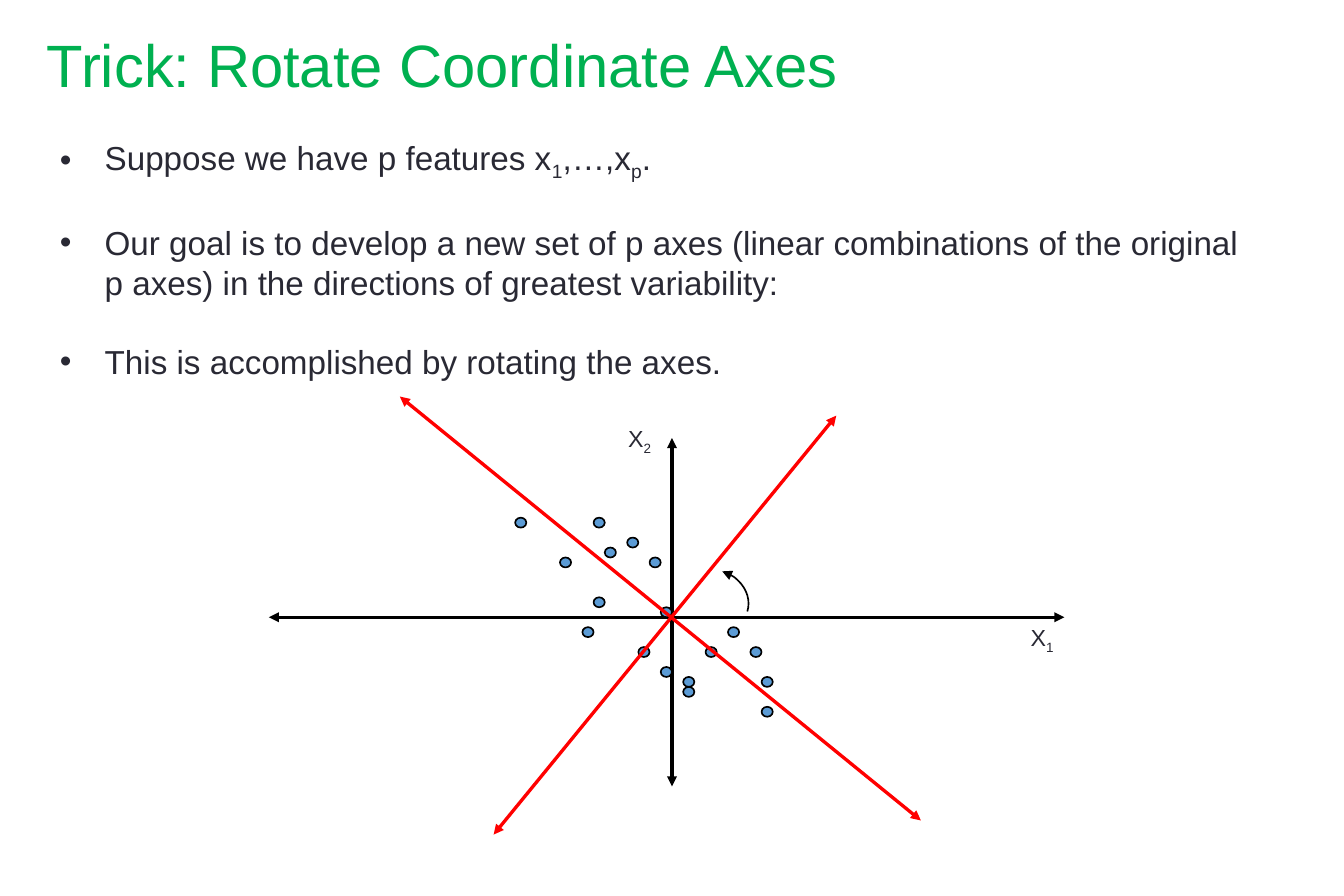
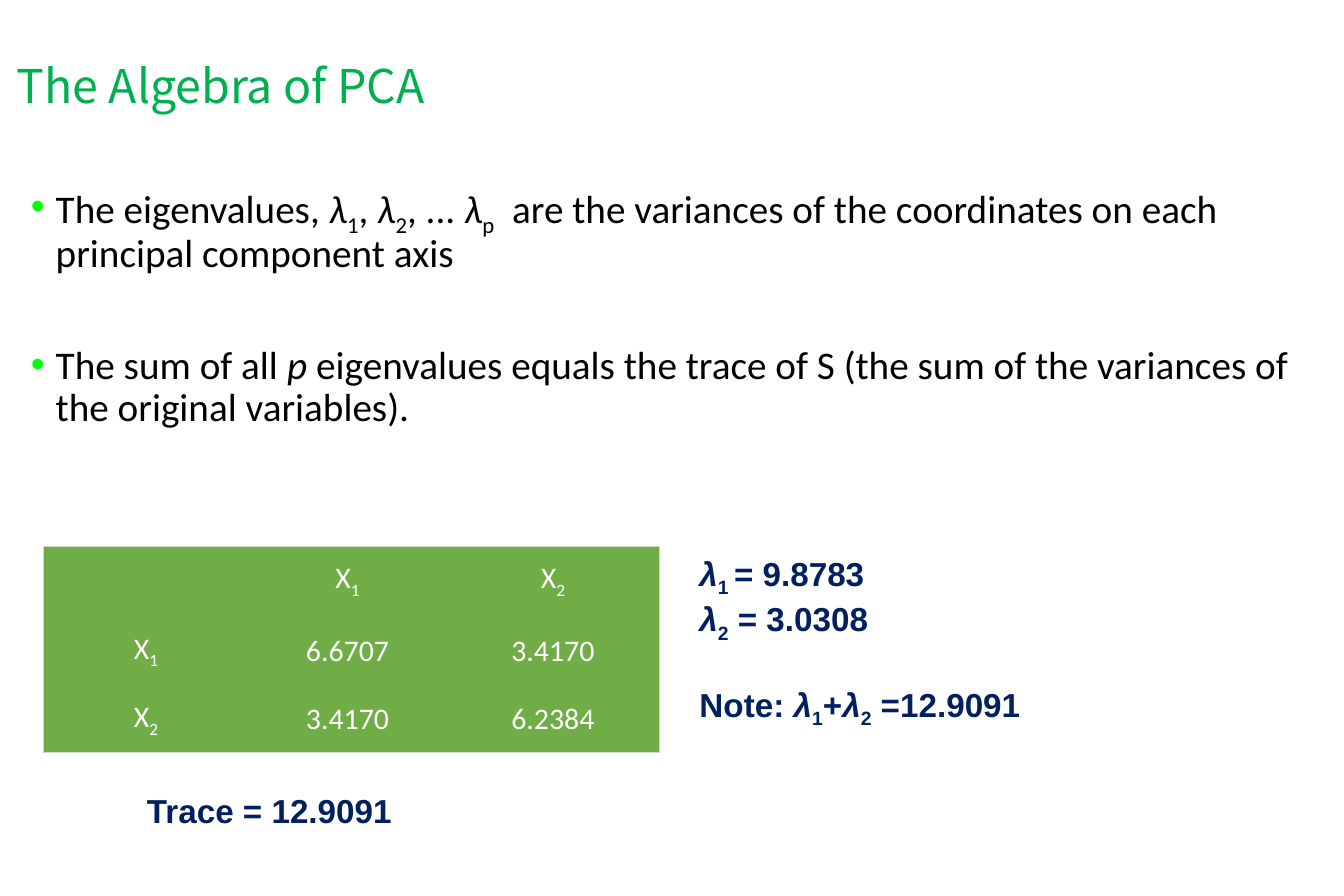
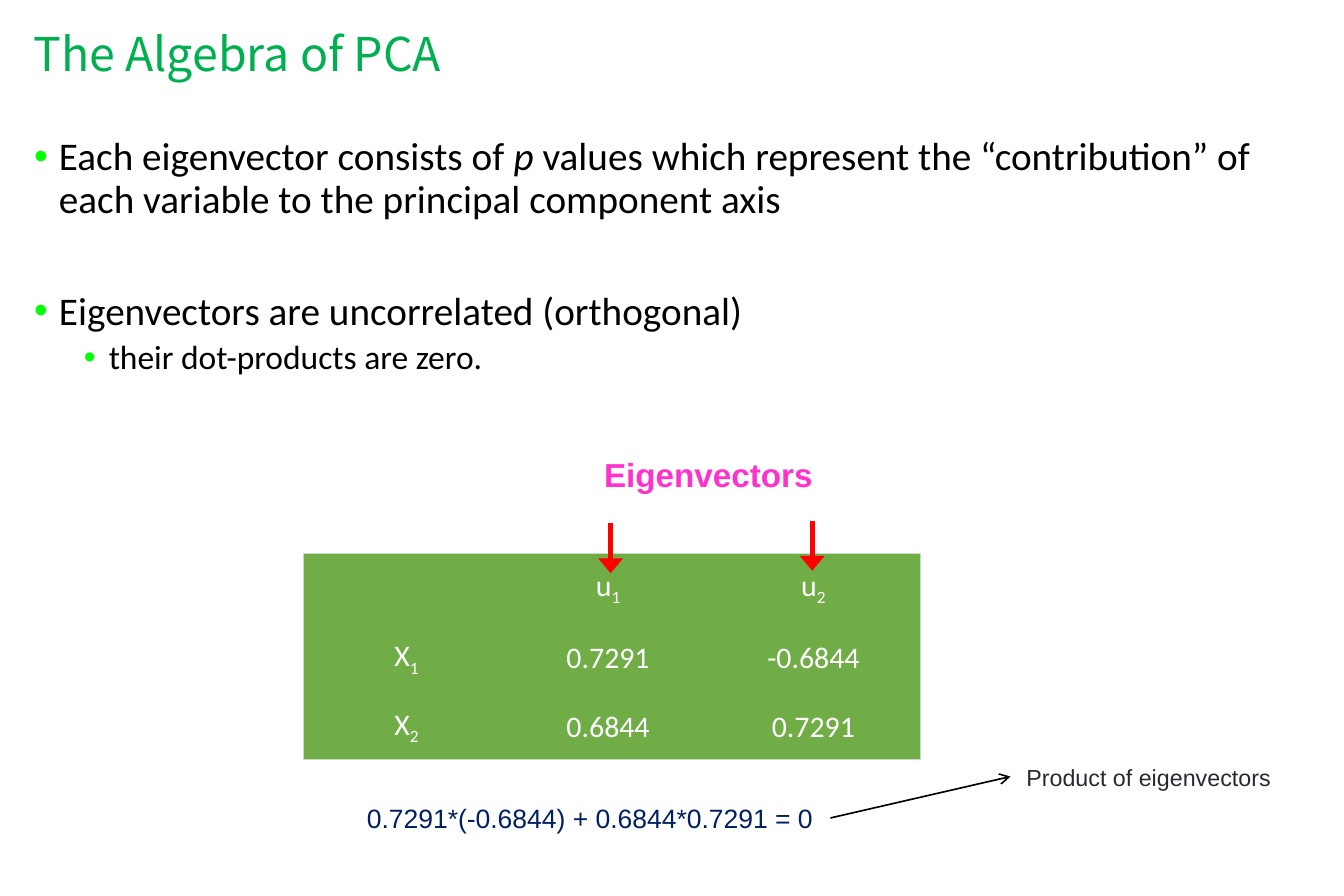
from dataclasses import dataclass

from lxml import etree
from pptx import Presentation
from pptx.dml.color import RGBColor
from pptx.enum.shapes import MSO_CONNECTOR, MSO_SHAPE
from pptx.enum.text import MSO_ANCHOR, MSO_AUTO_SIZE, PP_ALIGN
from pptx.oxml.ns import qn
from pptx.util import Pt

STRAIGHT = MSO_CONNECTOR.STRAIGHT
ELLIPSE, ARC = MSO_SHAPE.OVAL, MSO_SHAPE.ARC
MIDDLE, TOP = MSO_ANCHOR.MIDDLE, MSO_ANCHOR.TOP
NO_FIT, GROW = MSO_AUTO_SIZE.NONE, MSO_AUTO_SIZE.SHAPE_TO_FIT_TEXT
LEFT, CENTER = PP_ALIGN.LEFT, PP_ALIGN.CENTER
TITLE_ONLY = 5


@dataclass(frozen=True)
class Face:
    """Font, size and colour of a piece of text."""
    name: str
    size: float
    color: str
    bold: bool = False


@dataclass(frozen=True)
class Bullet:
    """Look and spacing of a bulleted paragraph."""
    face: Face
    color: str
    left: float
    hang: float
    before: float
    level: int = 0
    line_spacing: float = 1.0


@dataclass(frozen=True)
class Box:
    """A rectangle in points."""
    left: float
    top: float
    width: float
    height: float

    def inner(self, left, top, width=0, height=0):
        """Return a box placed relative to this one."""
        return Box(self.left + left, self.top + top, width, height)

    def lengths(self):
        """Return the four sides as lengths."""
        return [Pt(v) for v in (self.left, self.top, self.width, self.height)]


class Theme:
    """Colours and type styles shared by the slides."""
    black, red, dot = "000000", "FF0000", "5B9BD5"
    table_fill, table_edge = "70AD47", "C9DBC1"
    green, ink, navy, lime = "00B050", "292934", "002060", "00FF00"
    wide_title = Face("Arial", 36, green)
    title = Face("Noto Sans CJK TC", 28, green)
    plain = Face("Arial", 20, ink)
    body = Face("Calibri", 23.6, black)
    detail = Face("Calibri", 20.2, black)
    cell = Face("Calibri", 18, "FFFFFF")
    label = Face("Arial", 14, ink)
    result = Face("Arial", 20, navy, True)
    equation = Face("Arial", 16, navy)
    heading = Face("Arial", 20, "FF33CC", True)
    goal = Bullet(plain, ink, 27, 27, 0)
    next_goal = Bullet(plain, ink, 27, 27, 24)
    point = Bullet(body, lime, 15, 15, 8.4, 0, 0.9)
    next_point = Bullet(body, lime, 15, 15, 42, 0, 0.9)
    subpoint = Bullet(detail, lime, 45, 15, 4.2, 1, 0.9)


def set_format(target, values):
    """Set attributes of an object from a dict."""
    for name, value in values.items():
        setattr(target, name, value)


def add_xml(parent, tag, **values):
    """Append a drawing element with attributes."""
    return etree.SubElement(parent, qn(tag), {k: str(v) for k, v in values.items()})


def add_color(parent, color):
    """Append a solid fill to an XML element."""
    add_xml(add_xml(parent, "a:solidFill"), "a:srgbClr", val=color)


def write_spans(para, text, face):
    """Write text in which _x_ is a subscript and /x/ is italic."""
    for i, part in enumerate(text.split("_")):
        for j, piece in enumerate(part.split("/")):
            if not piece:
                continue
            span = para.add_run()
            span.text = piece
            set_format(span.font, {"name": face.name, "size": Pt(face.size),
                                   "bold": face.bold, "italic": j % 2 == 1})
            span.font.color.rgb = RGBColor.from_string(face.color)
            if i % 2:
                span._r.get_or_add_rPr().set("baseline", "-25000")


def next_para(frame, index):
    """Return the first paragraph or a new one."""
    return frame.add_paragraph() if index else frame.paragraphs[0]


def add_title(page, box, text, face, line_spacing=1.0):
    """Move and fill the title placeholder."""
    title = page.shapes.title
    names = ("left", "top", "width", "height")
    set_format(title, dict(zip(names, box.lengths())))
    frame = title.text_frame
    set_format(frame, {"auto_size": NO_FIT, "vertical_anchor": MIDDLE,
                       "word_wrap": True})
    para = frame.paragraphs[0]
    set_format(para, {"alignment": LEFT, "line_spacing": line_spacing})
    write_spans(para, text, face)


def add_label(page, box, lines, face):
    """Add unwrapped text from pairs of space before and text."""
    frame = page.shapes.add_textbox(*box.lengths()).text_frame
    set_format(frame, {"word_wrap": False, "auto_size": GROW,
                       "vertical_anchor": TOP})
    for index, (before, text) in enumerate(lines):
        para = next_para(frame, index)
        para.space_before = Pt(before)
        write_spans(para, text, face)


def add_bullets(page, box, items):
    """Add a bulleted list from pairs of bullet style and text."""
    frame = page.shapes.add_textbox(*box.lengths()).text_frame
    set_format(frame, {"word_wrap": True, "vertical_anchor": TOP})
    for index, (bullet, text) in enumerate(items):
        para = next_para(frame, index)
        set_format(para, {"level": bullet.level, "space_before": Pt(bullet.before),
                          "line_spacing": bullet.line_spacing})
        props = para._p.get_or_add_pPr()
        props.set("marL", str(Pt(bullet.left)))
        props.set("indent", str(-Pt(bullet.hang)))
        add_xml(add_xml(props, "a:buClr"), "a:srgbClr", val=bullet.color)
        add_xml(props, "a:buFont", typeface="Arial")
        add_xml(props, "a:buChar", char="•")
        write_spans(para, text, bullet.face)


def set_line(shape, color, width, head=None, tail=None, spread="med"):
    """Colour an outline and give it arrowheads."""
    shape.line.color.rgb = RGBColor.from_string(color)
    shape.line.width = Pt(width)
    outline = shape.line._get_or_add_ln()
    for tag, kind in (("a:headEnd", head), ("a:tailEnd", tail)):
        if kind:
            add_xml(outline, tag, type=kind, w=spread, len="med")


def add_line(page, box, start, end, color, width, **ends):
    """Connect two points given relative to a box."""
    points = [Pt(v) for x, y in (start, end) for v in (box.left + x, box.top + y)]
    line = page.shapes.add_connector(STRAIGHT, *points)
    set_line(line, color, width, **ends)
    add_xml(line._element.spPr, "a:effectLst")


def add_rotated_axes(page, box):
    """Draw the scatter with its old and rotated axes."""
    origin = box.inner(243, 133)
    both = {"head": "triangle", "tail": "triangle"}
    add_line(page, origin, (0, 102), (0, -108), Theme.black, 2, **both)
    add_line(page, origin, (-243, 0), (236.5, 0), Theme.black, 2, **both)
    for text, left, top in (("X_1_", 209, 0), ("X_2_", -33.5, -120)):
        add_label(page, origin.inner(left, top, 47.5, 24.5), [(0, text)], Theme.label)

    step_x, step_y = 6.75, 6
    dots = [(-14, -10), (-10, -6), (-7, -2), (-8, 1), (-6, -7), (-4, -8),
            (-2, -6), (-1, -1), (-3, 3), (3, 3), (1, 6), (-1, 5), (1, 7),
            (5, 1), (7, 3), (8, 6), (8, 9), (-7, -10)]
    for column, row in dots:
        place = origin.inner(column * step_x, row * step_y, step_x, step_y)
        dot = page.shapes.add_shape(ELLIPSE, *place.lengths())
        dot.shadow.inherit = False
        dot.fill.solid()
        dot.fill.fore_color.rgb = RGBColor.from_string(Theme.dot)
        set_line(dot, Theme.black, 1)

    turn = page.shapes.add_shape(ARC, *origin.inner(3.2, -28.5, 43.2, 37.4).lengths())
    turn.shadow.inherit = False
    turn.rotation = 17.1
    turn.fill.background()
    set_line(turn, Theme.black, 1, head="triangle")
    add_line(page, origin, (-107.5, 131), (99, -121.5), Theme.red, 2, **both)
    add_line(page, origin, (-164, -133), (150, 122.5), Theme.red, 2, **both)


def set_borders(cell, outer):
    """Draw the outer sides of a cell and hide the inner ones."""
    props = cell._tc.get_or_add_tcPr()
    for side, visible in outer.items():
        edge = add_xml(props, f"a:ln{side}", w=Pt(0.5))
        if visible:
            add_color(edge, Theme.table_edge)
        else:
            add_xml(edge, "a:noFill")


def add_matrix(page, box, rows):
    """Add a green table with an outer border."""
    last_row, last_column = len(rows) - 1, len(rows[0]) - 1
    table = page.shapes.add_table(len(rows), len(rows[0]), *box.lengths()).table
    set_format(table, {"first_row": False, "horz_banding": False})
    for column, width in zip(table.columns, (124, 119, 128.5)):
        column.width = Pt(width)
    for row, height in zip(table.rows, (42, 43, 39.5)):
        row.height = Pt(height)
    for i, values in enumerate(rows):
        for j, text in enumerate(values):
            cell = table.cell(i, j)
            set_borders(cell, {"L": j == 0, "R": j == last_column,
                               "T": i == 0, "B": i == last_row})
            cell.fill.solid()
            cell.fill.fore_color.rgb = RGBColor.from_string(Theme.table_fill)
            cell.vertical_anchor = MIDDLE
            para = cell.text_frame.paragraphs[0]
            para.alignment = CENTER
            write_spans(para, text, Theme.cell)


def add_eigenvalues(page, box):
    """Show the covariance matrix, its trace and its eigenvalues."""
    add_matrix(page, box, [("", "X_1_", "X_2_"),
                           ("X_1_", "6.6707", "3.4170"),
                           ("X_2_", "3.4170", "6.2384")])
    add_label(page, box.inner(388.5, 1, 211, 104.5),
              [(0, "/λ/_1 _= 9.8783"), (0, "/λ/_2_ = 3.0308"),
               (24, "Note: /λ/_1_+/λ/_2_ =12.9091")], Theme.result)
    add_label(page, box.inner(55.5, 144, 163.5, 31.5),
              [(0, "Trace = 12.9091")], Theme.result)


def add_eigenvectors(page, box):
    """Show the eigenvectors and their dot product."""
    add_matrix(page, box, [("", "u_1_", "u_2_"),
                           ("X_1_", "0.7291", "-0.6844"),
                           ("X_2_", "0.6844", "0.7291")])
    add_label(page, box.inner(174, -63.5, 141, 31.5),
              [(0, "Eigenvectors")], Theme.heading)
    for x, y in ((185, -18), (306.5, -19.5)):
        add_line(page, box, (x, y), (x, y + 30), Theme.red, 3,
                 tail="triangle", spread="lg")
    add_label(page, box.inner(31, 146.5, 287, 26.5),
              [(0, "0.7291*(-0.6844) + 0.6844*0.7291 = 0")], Theme.equation)
    add_line(page, box, (317.5, 159.5), (426, 134.5), Theme.black, 1, tail="arrow")
    add_label(page, box.inner(428.5, 123, 162.5, 24.5),
              [(0, "Product of eigenvectors")], Theme.label)


def build_rotation(page):
    """Build the slide on rotating the axes."""
    add_rotated_axes(page, Box(162, 239, 480, 264))
    add_title(page, Box(21, 13, 496, 51), "Trick: Rotate Coordinate Axes",
              Theme.wide_title)
    add_bullets(page, Box(29, 79, 739, 170), [
        (Theme.goal, "Suppose we have p features x_1_,…,x_p_."),
        (Theme.next_goal, "Our goal is to develop a new set of p axes (linear "
         "combinations of the original p axes) in the directions of greatest "
         "variability:"),
        (Theme.next_goal, "This is accomplished by rotating the axes.")])


def build_eigenvalues(page):
    """Build the slide on eigenvalues."""
    add_title(page, Box(3, 24, 794, 58), "The Algebra of PCA", Theme.title, 0.9)
    add_bullets(page, Box(11.5, 108, 796.5, 200), [
        (Theme.point, "The eigenvalues, /λ/_1_, /λ/_2_, ... /λ/_p_  are the "
         "variances of the coordinates on each principal component axis"),
        (Theme.next_point, "The sum of all /p /eigenvalues equals the trace of S "
         "(the sum of the variances of the original variables).")])
    add_eigenvalues(page, Box(26, 329, 371.5, 124.5))


def build_eigenvectors(page):
    """Build the slide on eigenvectors."""
    add_title(page, Box(13, 10, 794, 48), "The Algebra of PCA", Theme.title, 0.9)
    add_bullets(page, Box(13.5, 79, 781, 160), [
        (Theme.point, "Each eigenvector consists of /p/ values which represent the "
         "“contribution” of each variable to the principal component axis"),
        (Theme.next_point, "Eigenvectors are uncorrelated (orthogonal)"),
        (Theme.subpoint, "their dot-products are zero.")])
    add_eigenvectors(page, Box(183, 333.5, 371.5, 124.5))


def main():
    """Build and save the deck."""
    deck = Presentation()
    set_format(deck, {"slide_width": Pt(810), "slide_height": Pt(540)})
    for build in (build_rotation, build_eigenvalues, build_eigenvectors):
        build(deck.slides.add_slide(deck.slide_layouts[TITLE_ONLY]))
    deck.save("out.pptx")


if __name__ == "__main__":
    main()
